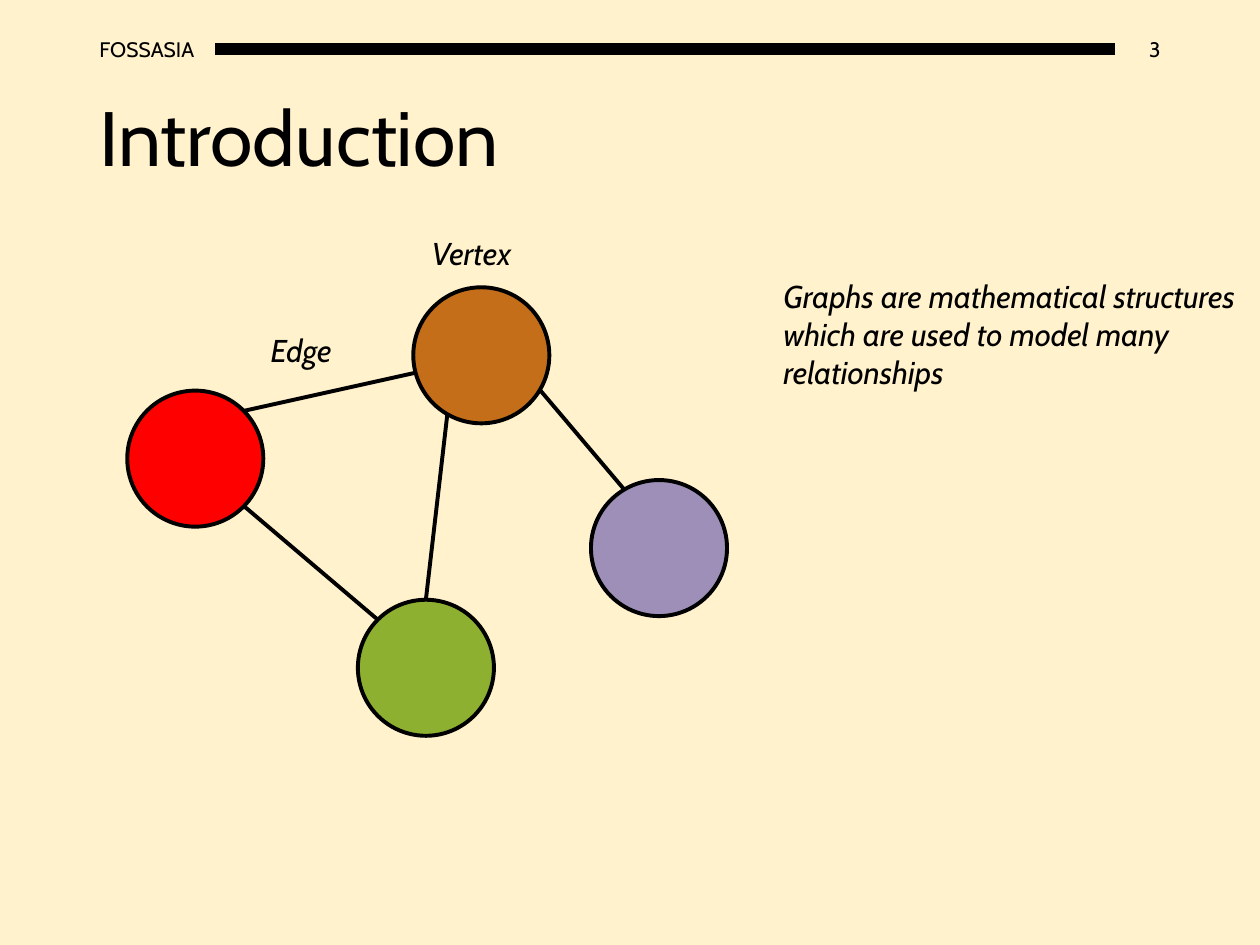
from pptx import Presentation
from pptx import util as u
from pptx.dml.color import RGBColor
from pptx.enum import shapes, text
from pptx.oxml import ns
from lxml import etree

COLORS = {
    "paper": "FFF2CC",
    "ink": "000000",
    "red": "FF0000",
    "orange": "C46E1A",
    "green": "8EB031",
    "purple": "9D8FB7",
}
COLUMNS, ROWS = 100, 75
DIAMETER = 10.8


class GraphSlide:
    font = "Cabin"
    outline = 2.25

    def __init__(self, presentation):
        self.cell_width = presentation.slide_width / COLUMNS
        self.cell_height = presentation.slide_height / ROWS
        self.slide = presentation.slides.add_slide(presentation.slide_layouts[5])
        self.paint(self.slide.background.fill, "paper")

    def paint(self, fill, color):
        fill.solid()
        fill.fore_color.rgb = RGBColor.from_string(COLORS[color])

    def place(self, column, row):
        return u.Emu(round(column * self.cell_width)), u.Emu(round(row * self.cell_height))

    def set_words(self, shape, words, size, italic=False, align=text.PP_ALIGN.LEFT,
                  anchor=text.MSO_ANCHOR.TOP, spacing=None):
        frame = shape.text_frame
        frame.word_wrap = True
        frame.auto_size = text.MSO_AUTO_SIZE.NONE
        frame.vertical_anchor = anchor
        paragraph = frame.paragraphs[0]
        paragraph.alignment = align
        paragraph.line_spacing = spacing
        run = paragraph.add_run()
        run.text = words
        run.font.name = self.font
        run.font.size = u.Pt(size)
        run.font.italic = italic
        run.font.color.rgb = RGBColor.from_string(COLORS["ink"])

    def title(self, words, column, row, width, height):
        shape = self.slide.shapes.title
        shape.left, shape.top = self.place(column, row)
        shape.width, shape.height = self.place(width, height)
        self.set_words(shape, words, 44, anchor=text.MSO_ANCHOR.MIDDLE, spacing=0.9)

    def label(self, words, column, row, width, height, size=18, **style):
        shape = self.slide.shapes.add_textbox(*self.place(column, row), *self.place(width, height))
        self.set_words(shape, words, size, **style)

    def line(self, start, end, weight=outline):
        connector = self.slide.shapes.add_connector(
            shapes.MSO_CONNECTOR.STRAIGHT, *self.place(*start), *self.place(*end))
        self.paint(connector.line.fill, "ink")
        connector.line.width = u.Pt(weight)
        etree.SubElement(connector._element.spPr, ns.qn("a:effectLst"))

    def vertex(self, column, row, color):
        shape = self.slide.shapes.add_shape(
            shapes.MSO_SHAPE.OVAL, *self.place(column, row), *self.place(DIAMETER, DIAMETER))
        shape.shadow.inherit = False
        self.paint(shape.fill, color)
        self.paint(shape.line.fill, "ink")
        shape.line.width = u.Pt(self.outline)


def main():
    presentation = Presentation()
    presentation.slide_width, presentation.slide_height = u.Inches(10), u.Inches(7.5)
    page = GraphSlide(presentation)

    middle = text.MSO_ANCHOR.MIDDLE
    page.label("3", 88.5, 1.9, 4.6, 4, size=12, align=text.PP_ALIGN.RIGHT, anchor=middle)
    page.label("FOSSASIA", 6.9, 1.9, 10.2, 4, size=12, anchor=middle)
    page.line((17.1, 3.9), (88.5, 3.9), weight=7)
    page.title("Introduction", 6.9, 4, 86.2, 14.5)

    vertices = [
        (28.4, 47.6, "green"),
        (46.9, 38.1, "purple"),
        (10.1, 31, "red"),
        (32.8, 22.8, "orange"),
    ]
    for column, row, color in vertices:
        page.vertex(column, row, color)

    edges = [
        ((35.5, 32.9), (33.8, 47.6)),
        ((19.4, 40.2), (30, 49.2)),
        ((19.4, 32.6), (32.9, 29.6)),
        ((42.9, 31), (49.5, 38.8)),
    ]
    for start, end in edges:
        page.line(start, end)

    page.label("Graphs are mathematical structures which are used to model many relationships",
               61.2, 21.5, 38.4, 10.1, italic=True)
    page.label("Vertex", 33.3, 18.1, 9.3, 4, italic=True)
    page.label("Edge", 20.5, 25.8, 9.3, 4, italic=True)

    presentation.save("out.pptx")


if __name__ == "__main__":
    main()
